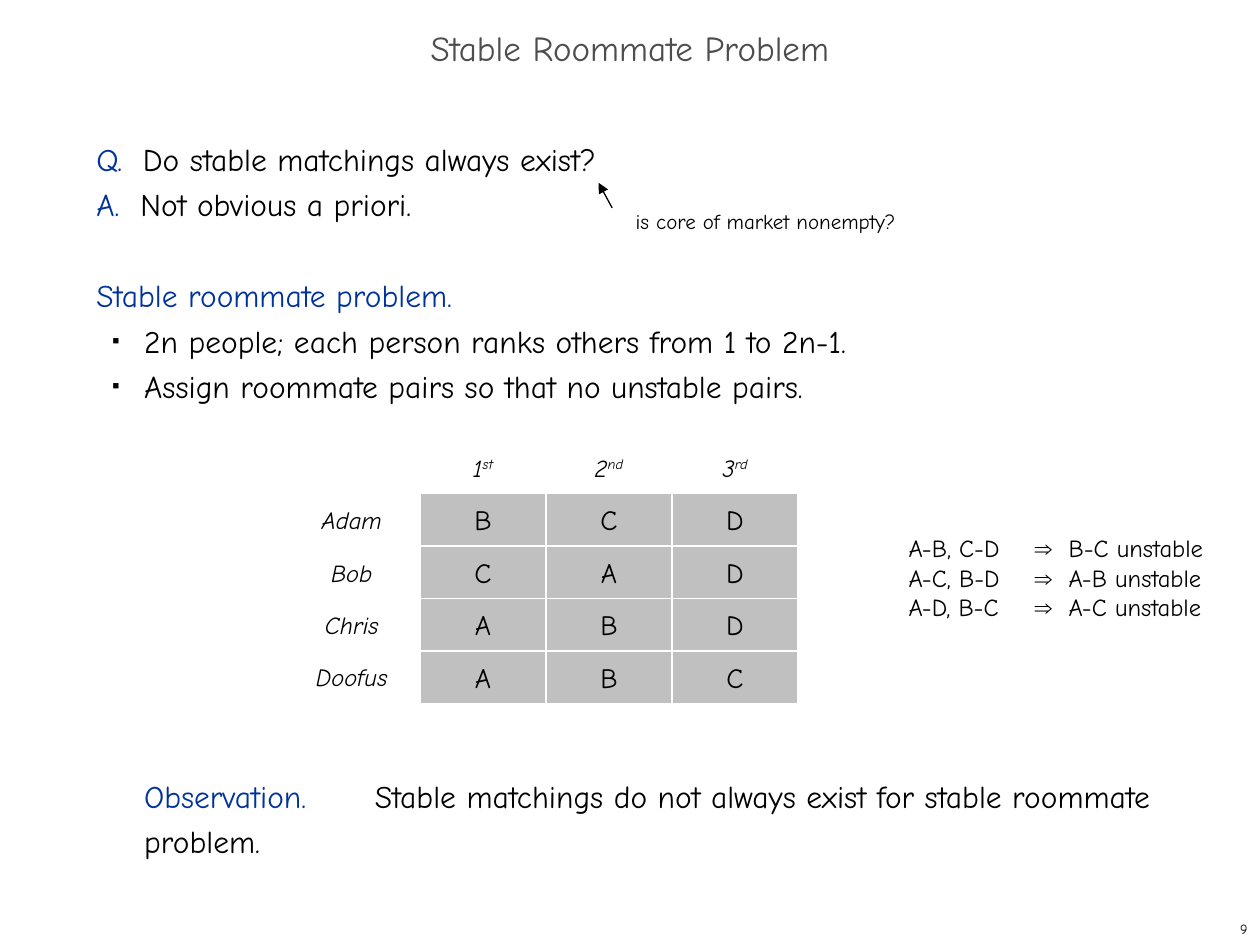
from lxml import etree
from pptx import Presentation
from pptx.dml.color import RGBColor
from pptx.enum.shapes import MSO_CONNECTOR, MSO_SHAPE
from pptx.enum.text import MSO_ANCHOR, PP_ALIGN
from pptx.oxml.ns import qn
from pptx.util import Inches, Pt

BLACK = RGBColor(0x00, 0x00, 0x00)
WHITE = RGBColor(0xFF, 0xFF, 0xFF)
CHARCOAL = RGBColor(0x4D, 0x4D, 0x4D)
SILVER = RGBColor(0xC0, 0xC0, 0xC0)
NAVY = RGBColor(0x00, 0x33, 0x99)
LEFT, CENTER, RIGHT = PP_ALIGN.LEFT, PP_ALIGN.CENTER, PP_ALIGN.RIGHT
TOP, MIDDLE = MSO_ANCHOR.TOP, MSO_ANCHOR.MIDDLE
STRAIGHT, RECTANGLE = MSO_CONNECTOR.STRAIGHT, MSO_SHAPE.RECTANGLE
COLUMNS, ROWS = 120, 90
LEADING = Pt(26)
INDENT = 0.38


class SlideWriter:
    """Place elements on one slide, measured on a grid of 120 columns by 90 rows."""

    def __init__(self, deck, font="Comic Neue"):
        self.font = font
        self.column = deck.slide_width // COLUMNS
        self.row = deck.slide_height // ROWS
        self.slide = deck.slides.add_slide(deck.slide_layouts[6])

    def place(self, *lengths):
        units = (self.column, self.row) * 2
        return [round(length * unit) for length, unit in zip(lengths, units)]

    def style(self, para, size, color=BLACK, align=LEFT, italic=None):
        para.alignment = align
        para.font.name = self.font
        para.font.size = Pt(size)
        para.font.color.rgb = color
        para.font.italic = italic

    def box(self, area, margins=True, anchor=TOP):
        frame = self.slide.shapes.add_textbox(*self.place(*area)).text_frame
        frame.word_wrap = True
        frame.vertical_anchor = anchor
        if not margins:
            frame.margin_left = frame.margin_right = 0
            frame.margin_top = frame.margin_bottom = 0
        return frame

    def label(self, area, text, size, color=BLACK, align=LEFT, margins=True, anchor=TOP):
        para = self.box(area, margins, anchor).paragraphs[0]
        para.text = text
        self.style(para, size, color, align)
        return para

    def lines(self, area, entries, size, leading=None):
        frame = self.box(area)
        for index, (parts, layout) in enumerate(entries):
            para = frame.add_paragraph() if index else frame.paragraphs[0]
            if leading:
                para.line_spacing = leading
            self.layout(para, **layout)
            self.style(para, size)
            for text, color, font in parts:
                span = para.add_run()
                span.text = text
                span.font.color.rgb = color
                if font:
                    span.font.name = font

    def layout(self, para, tabs=(), left=0, bullet=False, before=0):
        para.space_before = before
        props = para._p.get_or_add_pPr()
        props.set("marL", str(Inches(left)))
        if bullet:
            props.set("indent", str(-Inches(0.25)))
            etree.SubElement(props, qn("a:buSzPct"), val="35000")
            etree.SubElement(props, qn("a:buFont"), typeface="Arial")
            etree.SubElement(props, qn("a:buChar"), char="■")
        if tabs:
            stops = etree.SubElement(props, qn("a:tabLst"))
            for stop in tabs:
                etree.SubElement(stops, qn("a:tab"), pos=str(Inches(stop)), algn="l")

    def cell(self, area, text, size, fill=None, italic=None):
        shape = self.slide.shapes.add_shape(RECTANGLE, *self.place(*area))
        shape.shadow.inherit = False
        shape.line.color.rgb = WHITE
        shape.line.width = Pt(0.75)
        if fill:
            shape.fill.solid()
            shape.fill.fore_color.rgb = fill
        else:
            shape.fill.background()
        shape.text_frame.vertical_anchor = MIDDLE
        para = shape.text_frame.paragraphs[0]
        para.text = text
        self.style(para, size, align=CENTER, italic=italic)

    def heading(self, area, number, suffix):
        para = self.box(area, anchor=MIDDLE).paragraphs[0]
        self.style(para, 14, align=CENTER, italic=True)
        para.add_run().text = number
        ordinal = para.add_run()
        ordinal.text = suffix
        ordinal._r.get_or_add_rPr().set("baseline", "30000")

    def arrow(self, start, end):
        ends = self.place(*start, *end)
        line = self.slide.shapes.add_connector(STRAIGHT, *ends)
        line.line.color.rgb = BLACK
        line.line.width = Pt(0.75)
        etree.SubElement(line.line._get_or_add_ln(), qn("a:tailEnd"), type="triangle")
        etree.SubElement(line._element.spPr, qn("a:effectLst"))


def main():
    deck = Presentation()
    deck.slide_width, deck.slide_height = Inches(10), Inches(7.5)
    page = SlideWriter(deck)

    title = page.label((0, 2, 120, 6), "Stable Roommate Problem", 20, CHARCOAL, CENTER, anchor=MIDDLE)
    title.line_spacing = 0.7

    points = [
        "2n people; each person ranks others from 1 to 2n-1.",
        "Assign roommate pairs so that no unstable pairs.",
    ]
    observation = "Stable matchings do not always exist for stable roommate problem."
    page.lines((8, 12, 103, 71), [
        ([("Q.\t", NAVY, None), ("Do stable matchings always exist?", BLACK, None)], {"tabs": [0.37]}),
        ([("A.\t", NAVY, None), ("Not obvious a priori.", BLACK, None)], {"tabs": [0.35]}),
        ([("Stable roommate problem.", NAVY, None)], {"before": LEADING}),
        *[([(point, BLACK, None)], {"left": INDENT, "bullet": True}) for point in points],
        ([("Observation.\t", NAVY, None), (observation, BLACK, None)],
         {"tabs": [1.45 + INDENT], "left": INDENT, "before": LEADING * 8}),
    ], 18, LEADING)

    rankings = {"Adam": "BCD", "Bob": "CAD", "Chris": "ABD", "Doofus": "ABC"}
    choices = [("1", "st"), ("2", "nd"), ("3", "rd")]
    lefts = [40, 52, 64]
    for left, choice in zip(lefts, choices):
        page.heading((left, 42, 12, 5), *choice)
    for index, (person, ranking) in enumerate(rankings.items()):
        top = 47 + 5 * index
        page.cell((27, top, 13, 5), person, 14, italic=True)
        for left, mate in zip(lefts, ranking):
            page.cell((left, top, 12, 5), mate, 16, SILVER)

    outcomes = [("A-B, C-D", "B-C"), ("A-C, B-D", "A-B"), ("A-D, B-C", "A-C")]
    page.lines((85.35, 50.2, 31, 9.6), [
        ([(pairs + "\t", BLACK, None), ("⇒", BLACK, "Arial"), (f"\t{blocking} unstable", BLACK, None)],
         {"tabs": [1, 1.27]})
        for pairs, blocking in outcomes
    ], 14)

    page.label((60.55, 19.85, 25, 2.4), "is core of market nonempty?", 12, margins=False)
    page.arrow((58.3, 19.8), (57, 17.4))
    page.label((95, 87, 25, 3), "9", 8, align=RIGHT, anchor=MIDDLE)
    deck.save("out.pptx")


if __name__ == "__main__":
    main()
